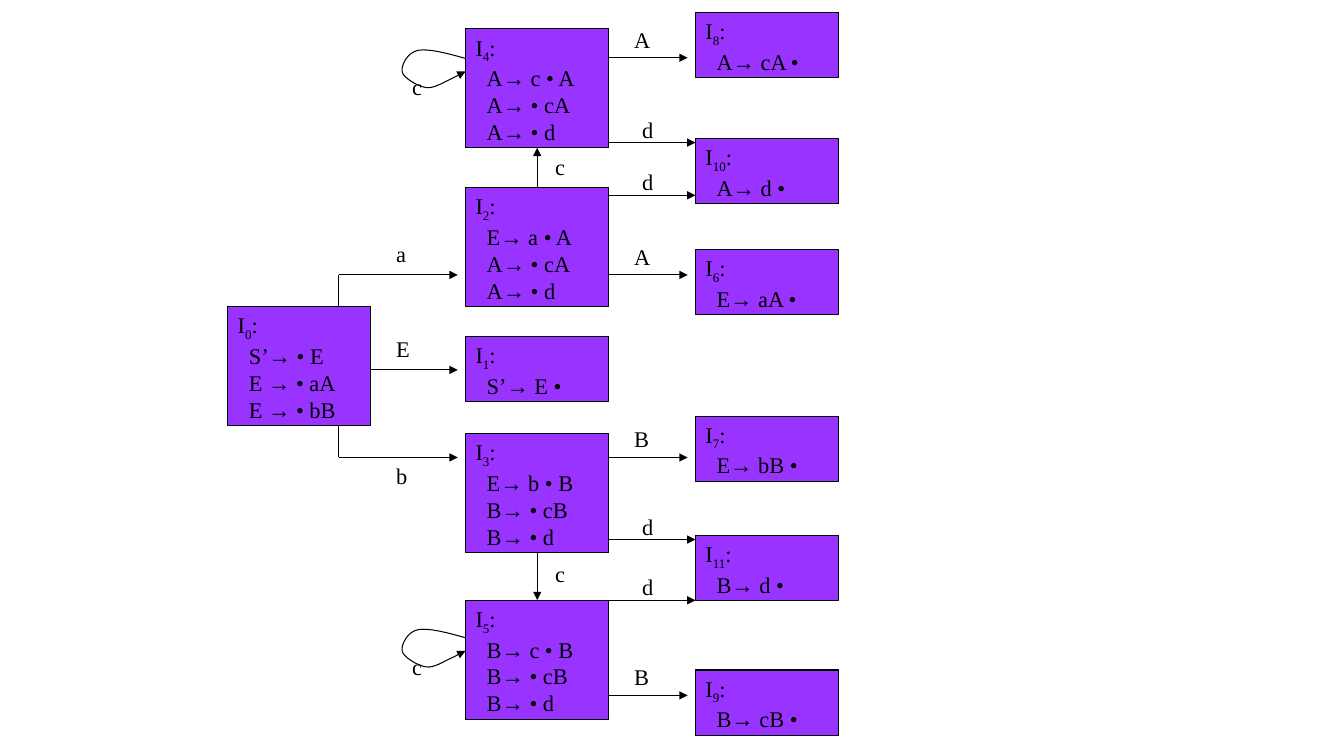
from lxml import etree
from pptx import Presentation
from pptx import util as u
from pptx.dml import color
from pptx.enum import shapes, text
from pptx.oxml import ns

Pt = u.Pt
BLACK, PURPLE = "000000", "9933FF"
BOX_WIDTH, TALL, SHORT = 102.3, 85, 46.5
LEFT, MIDDLE, RIGHT = 162.7, 332.6, 496.8


def write(shape, lines, subscript=None, size=16, font="Times New Roman", hue=BLACK):
    """Fill a shape with lines; a subscript turns the first line into a state heading."""
    frame = shape.text_frame
    frame.word_wrap = True
    frame.vertical_anchor = text.MSO_ANCHOR.TOP
    for index, line in enumerate(lines):
        paragraph = frame.paragraphs[0] if index == 0 else frame.add_paragraph()
        paragraph.alignment = text.PP_ALIGN.LEFT
        pieces = [line]
        if subscript is not None and index == 0:
            pieces = [line, subscript, ":"]
        elif subscript is not None:
            properties = paragraph._p.get_or_add_pPr()
            properties.set("marL", str(Pt(8)))
            properties.set("indent", "0")
        for position, piece in enumerate(pieces):
            run = paragraph.add_run()
            run.text = piece
            run.font.size, run.font.name = Pt(size), font
            run.font.color.rgb = color.RGBColor.from_string(hue)
            if position == 1:
                run.font._element.set("baseline", "-25000")


def style_line(shape, arrow=True):
    """Thin black line without shadow, with an optional arrowhead at its end."""
    shape.line.color.rgb = color.RGBColor.from_string(BLACK)
    shape.line.width = Pt(0.75)
    if arrow:
        etree.SubElement(shape.line._get_or_add_ln(), ns.qn("a:tailEnd"), type="triangle")
    properties = shape._element.spPr
    if properties.find(ns.qn("a:effectLst")) is None:
        etree.SubElement(properties, ns.qn("a:effectLst"))


presentation = Presentation()
presentation.slide_width, presentation.slide_height = Pt(960), Pt(540)
slide = presentation.slides.add_slide(presentation.slide_layouts[6])

# States: number, left, top, items
states = [
    (0, LEFT, 218.9, ["S’→ • E", "E → • aA", "E → • bB"]),
    (1, MIDDLE, 240.3, ["S’→ E •"]),
    (2, MIDDLE, 133.9, ["E→ a • A", "A→ • cA", "A→ • d"]),
    (3, MIDDLE, 309.6, ["E→ b • B", "B→ • cB", "B→ • d"]),
    (4, MIDDLE, 20.6, ["A→ c • A", "A→ • cA", "A→ • d"]),
    (5, MIDDLE, 428.7, ["B→ c • B", "B→ • cB", "B→ • d"]),
    (6, RIGHT, 178, ["E→ aA •"]),
    (7, RIGHT, 297.2, ["E→ bB •"]),
    (8, RIGHT, 9, ["A→ cA •"]),
    (9, RIGHT, 478.6, ["B→ cB •"]),
    (10, RIGHT, 98.8, ["A→ d •"]),
    (11, RIGHT, 382.3, ["B→ d •"]),
]
boxes = {}
for number, left, top, items in states:
    height = TALL if len(items) > 1 else SHORT
    box = slide.shapes.add_shape(shapes.MSO_SHAPE.RECTANGLE,
                                 Pt(left), Pt(top), Pt(BOX_WIDTH), Pt(height))
    box.shadow.inherit = False
    box.fill.solid()
    box.fill.fore_color.rgb = color.RGBColor.from_string(PURPLE)
    style_line(box, arrow=False)
    write(box, ["I"] + items, subscript=str(number))
    boxes[number] = box

# Transitions out of state 0: start, end, arrowhead
edges = [
    (LEFT + BOX_WIDTH, 264.3, 327, 264.3, True),
    (242, 218.9, 242, 196.4, False),
    (242, 196.4, 327, 196.4, True),
    (242, 326.8, 242, 303.9, False),
    (242, 326.8, 327, 326.8, True),
]
labels = [("a", 275.8, 167.8, 23), ("E", 275.8, 236.2, 40), ("b", 275.8, 326.9, 23),
          ("c", 389.5, 105.8, 22), ("c", 389.5, 396.7, 22)]

# Transitions from the middle column to the right column
middle_end = MIDDLE + BOX_WIDTH
for symbol, y in [("A", 196.4), ("B", 326.8), ("A", 41.3), ("B", 496.7)]:
    edges.append((middle_end, y, 491.2, y, True))
    labels.append((symbol, 445.9, y - 26.5, 28))
for y in (139.5, 385.4, 101.8, 428.8):
    edges.append((middle_end, y, RIGHT, y, True))
    labels.append(("d", 451.6, y - 22.7, 23))

for x1, y1, x2, y2, arrow in edges:
    edge = slide.shapes.add_connector(shapes.MSO_CONNECTOR.STRAIGHT,
                                      Pt(x1), Pt(y1), Pt(x2), Pt(y2))
    style_line(edge, arrow)

# Vertical transitions joined to the boxes
for source, source_side, target, target_side in [(2, 0, 4, 2), (3, 2, 5, 0)]:
    edge = slide.shapes.add_connector(shapes.MSO_CONNECTOR.STRAIGHT, 0, 0, 0, 0)
    edge.begin_connect(boxes[source], source_side)
    edge.end_connect(boxes[target], target_side)
    style_line(edge)

# Self-loops of states 4 and 5: Bezier curves, sampled finely
loop_curves = [
    [(-13, 17.5), (-26.5, 14), (-34, 15.4)],
    [(-41.7, 17), (-46, 26), (-45.4, 30.5)],
    [(-44.6, 35), (-34, 41.2), (-28.2, 42)],
    [(-23, 42.8), (-16, 38.4), (-11.3, 36.2)],
    [(-6.5, 34), (-3.5, 32), (0, 30.5)],
]
loop_points = [(0, 21.2)]
for first, second, end in loop_curves:
    start = loop_points[-1]
    for step in range(1, 9):
        t = step / 8
        loop_points.append(tuple(
            (1 - t) ** 3 * a + 3 * t * (1 - t) ** 2 * b + 3 * t * t * (1 - t) * c + t ** 3 * d
            for a, b, c, d in zip(start, first, second, end)))

for top in (20.6, 434.4):
    points = [(Pt(MIDDLE + x), Pt(top + y)) for x, y in loop_points]
    builder = slide.shapes.build_freeform(*points[0])
    builder.add_line_segments(points[1:], close=False)
    loop = builder.convert_to_shape()
    loop.fill.background()
    loop.shadow.inherit = False
    style_line(loop)
    labels.append(("c", 287.3, top + 28.4, 17.3))

# Transition symbols
for symbol, left, top, width in labels:
    label = slide.shapes.add_textbox(Pt(left), Pt(top), Pt(width), Pt(26.6))
    write(label, [symbol])

presentation.save("out.pptx")
